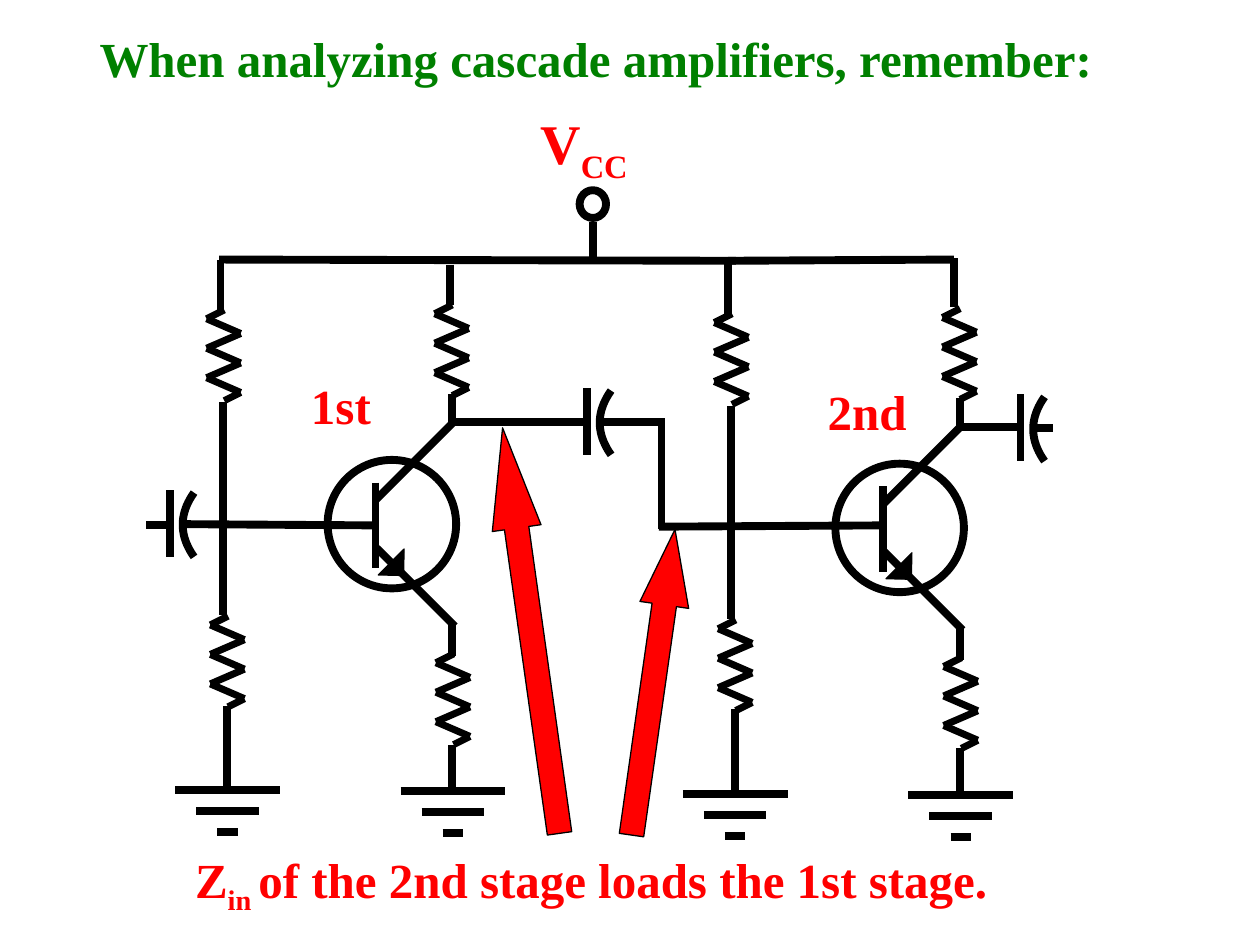
import itertools

import pptx
import pptx.dml.color
import pptx.enum.shapes
import pptx.enum.text
import pptx.oxml
import pptx.util

BLACK, RED, GREEN = "000000", "FF0000", "008000"
Kind = pptx.enum.shapes.MSO_SHAPE
EFFECTS = '<a:effectLst xmlns:a="http://schemas.openxmlformats.org/drawingml/2006/main"/>'


def length(inches):
    return pptx.util.Cm(inches * 2.54)


def colour(hex_code):
    return pptx.dml.color.RGBColor.from_string(hex_code)


def outline(shape, weight):
    shape.line.color.rgb = colour(BLACK)
    shape.line.width = pptx.util.Pt(weight)


# Basic parts

def wire(shapes, x1, y1, x2, y2, weight=4.5):
    ends = [length(v) for v in (x1, y1, x2, y2)]
    line = shapes.add_connector(pptx.enum.shapes.MSO_CONNECTOR.STRAIGHT, *ends)
    outline(line, weight)
    line._element.spPr.append(pptx.oxml.parse_xml(EFFECTS))


def solid(shapes, kind, box, fill=None, weight=4.5, rotation=0):
    shape = shapes.add_shape(kind, *[length(v) for v in box])
    shape.shadow.inherit = False
    shape.rotation = rotation
    if fill:
        shape.fill.solid()
        shape.fill.fore_color.rgb = colour(fill)
    else:
        shape.fill.background()
    outline(shape, weight)
    return shape


def write(shape, spans, size, text_colour):
    """Fill a shape with one paragraph of (text, is_subscript) spans."""
    frame = shape.text_frame
    settings = {
        "word_wrap": False,
        "auto_size": pptx.enum.text.MSO_AUTO_SIZE.NONE,
        "vertical_anchor": pptx.enum.text.MSO_ANCHOR.TOP,
    }
    for name, value in settings.items():
        setattr(frame, name, value)
    para = frame.paragraphs[0]
    para.alignment = pptx.enum.text.PP_ALIGN.LEFT
    style = {"name": "Times New Roman", "size": pptx.util.Pt(size), "bold": True}
    for text, subscript in spans:
        span = para.add_run()
        span.text = text
        for name, value in style.items():
            setattr(span.font, name, value)
        span.font.color.rgb = colour(text_colour)
        if subscript:
            span._r.get_or_add_rPr().set("baseline", "-25000")


def label(page, box, spans, size=28):
    write(page.shapes.add_textbox(*[length(v) for v in box]), spans, size, RED)


# Circuit symbols

def resistor(page, left, top):
    group = page.shapes.add_group_shape()
    zigzag = [(0.27 * (i % 2), 0.07 + 0.117 * i) for i in range(6)]
    points = [(0.14, 0), *zigzag, (0.14, 0.72)]
    for (x1, y1), (x2, y2) in itertools.pairwise(points):
        wire(group.shapes, left + x1, top + y1, left + x2, top + y2, 4)


def ground(page, left, top):
    group = page.shapes.add_group_shape()
    for step in range(3):
        inset, y = 0.167 * step, top + 0.167 * step
        wire(group.shapes, left + inset, y, left + 0.83 - inset, y)


def capacitor(page, left, top):
    group = page.shapes.add_group_shape()
    wire(group.shapes, left, top, left, top + 0.53)
    steps = 20
    points = [
        (length(left + 0.1 + 0.09 * (2 * i / steps - 1) ** 2),
         length(top + 0.02 + 0.51 * i / steps))
        for i in range(steps + 1)
    ]
    builder = group.shapes.build_freeform(*points[0])
    builder.add_line_segments(points[1:], close=False)
    plate = builder.convert_to_shape()
    plate.shadow.inherit = False
    plate.fill.background()
    outline(plate, 4.5)


def transistor(page, left, top):
    shapes = page.shapes
    solid(shapes, Kind.OVAL, (left, top, 1.02, 1.02))
    wire(shapes, left + 0.38, top + 0.18, left + 0.38, top + 0.86)
    wire(shapes, left + 0.38, top + 0.32, left + 1.0, top - 0.3)
    emitter = shapes.add_group_shape().shapes
    wire(emitter, left + 0.39, top + 0.7, left + 1.01, top + 1.32)
    solid(emitter, Kind.RIGHT_TRIANGLE, (left + 0.4, top + 0.71, 0.21, 0.2),
          BLACK, 0.75, 271.3)


# Regions of the page

def stage(page, left, top):
    transistor(page, left + 1.21, top + 1.59)
    for x, y in [(0.25, 0.4), (2.06, 0.36), (0.28, 2.83), (2.07, 3.13)]:
        resistor(page, left + x, top + y)
    for x, y in [(0, 4.21), (1.79, 4.22)]:
        ground(page, left + x, top + y)
    vertical_wires = [
        (0.36, 0, 0.41), (0.38, 1.13, 2.82), (0.41, 3.54, 4.21),
        (2.2, 1.07, 1.32), (2.2, 2.89, 3.15), (2.2, 3.85, 4.23),
    ]
    for x, start, end in vertical_wires:
        wire(page.shapes, left + x, top + start, left + x, top + end)


def supply(page, left, top):
    """Supply terminal and rail; the box starts at the rail's left end."""
    solid(page.shapes, Kind.OVAL, (left + 2.86, top - 0.55, 0.21, 0.22))
    for x1, y1, x2, y2 in [
        (2.97, -0.3, 2.97, 0), (0, 0, 4.1, 0.01), (4.04, 0.01, 5.83, 0),
        (1.83, 0.04, 1.83, 0.36), (5.83, -0.01, 5.83, 0.38),
    ]:
        wire(page.shapes, left + x1, top + y1, left + x2, top + y2)
    label(page, (left + 2.45, top - 1.25, 0.89, 0.71),
          [("V", False), ("CC", True)], 32)


def signal_path(page, left, top):
    """Input, coupling and output; the box starts at the input lead."""
    for x, y in [(0.19, 0.76), (3.5, -0.05), (6.94, 0)]:
        capacitor(page, left + x, top + y)
    for x1, y1, x2, y2 in [
        (0, 1.04, 0.16, 1.04), (0.29, 1.03, 1.8, 1.04),
        (2.42, 0.22, 3.48, 0.22), (3.62, 0.22, 4.09, 0.22),
        (4.09, 0.19, 4.09, 1.07), (4.07, 1.05, 5.85, 1.04),
        (6.45, 0.26, 6.92, 0.26), (7.04, 0.27, 7.2, 0.27),
    ]:
        wire(page.shapes, left + x1, top + y1, left + x2, top + y2)


def loading_note(page, left, top):
    for x, y, height, head, rotation in [
        (2.57, -3.31, 3.25, 2.06, 352), (3.54, -2.5, 2.45, 1.55, 8.1),
    ]:
        arrow = solid(page.shapes, Kind.UP_ARROW, (left + x, top + y, 0.39, height),
                      RED, 0.75, rotation)
        arrow.adjustments[0] = 0.5
        arrow.adjustments[1] = head
    label(page, (left, top, 6.48, 0.63),
          [("Z", False), ("in ", True),
           ("of the 2nd stage loads the 1st stage.", False)])


def heading(page, box):
    title = page.shapes.title
    for name, value in zip(("left", "top", "width", "height"), box):
        setattr(title, name, length(value))
    write(title, [("When analyzing cascade amplifiers, remember:", False)], 28, GREEN)


def main():
    deck = pptx.Presentation()
    deck.slide_width, deck.slide_height = length(10), length(7.5)
    page = deck.slides.add_slide(deck.slide_layouts[5])
    heading(page, (0.69, 0.18, 8.08, 0.57))
    for left, top in [(1.39, 2.06), (5.42, 2.09)]:
        stage(page, left, top)
    supply(page, 1.74, 2.06)
    signal_path(page, 1.16, 3.13)
    loading_note(page, 1.45, 6.69)
    label(page, (2.37, 2.93, 0.67, 0.57), [("1st", False)])
    label(page, (6.47, 2.98, 0.82, 0.57), [("2nd", False)])
    deck.save("out.pptx")


if __name__ == "__main__":
    main()
